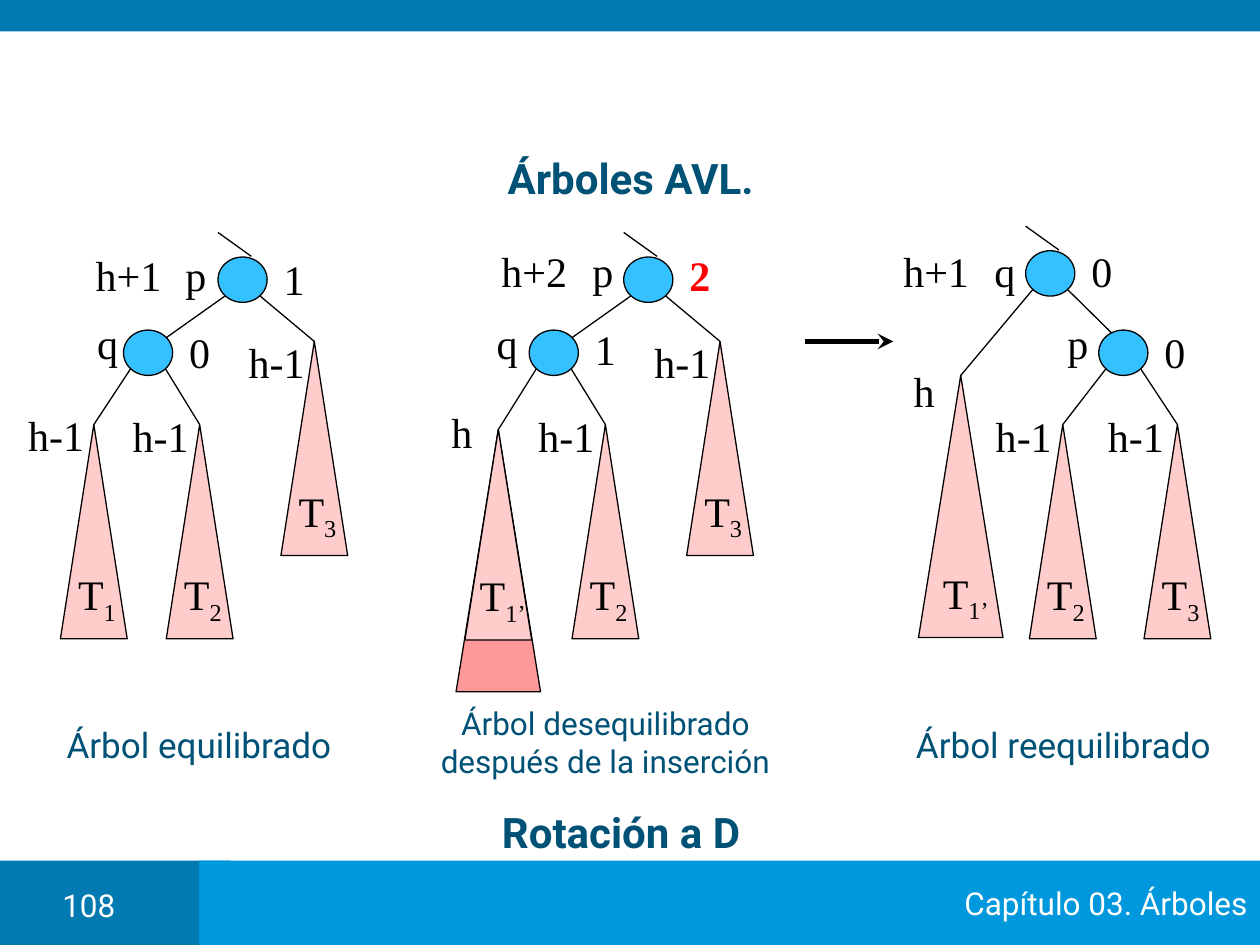
from dataclasses import dataclass
from typing import Optional, Union

from lxml import etree
from pptx import Presentation
from pptx.dml.color import RGBColor
from pptx.enum.shapes import MSO_CONNECTOR, MSO_SHAPE
from pptx.enum.text import MSO_ANCHOR, PP_ALIGN
from pptx.oxml.ns import qn
from pptx.util import Inches, Pt

RECT, OVAL, TRIANGLE = MSO_SHAPE.RECTANGLE, MSO_SHAPE.OVAL, MSO_SHAPE.ISOSCELES_TRIANGLE
STRAIGHT = MSO_CONNECTOR.STRAIGHT
LEFT, CENTER, RIGHT = PP_ALIGN.LEFT, PP_ALIGN.CENTER, PP_ALIGN.RIGHT
TOP, MIDDLE = MSO_ANCHOR.TOP, MSO_ANCHOR.MIDDLE

# Grid of 100 columns by 75 rows; every position below is in cells
COLS, ROWS = 100, 75
CELL = Inches(10) // COLS


@dataclass(frozen=True)
class Theme:
    dark: str = "007AB1"
    bright: str = "0098DC"
    heading: str = "005176"
    node: str = "35C0FF"
    subtree: str = "FFCCCC"
    growth: str = "FF9999"
    ink: str = "000000"
    alert: str = "FF0000"
    white: str = "FFFFFF"
    sans: str = "Roboto"
    serif: str = "Times New Roman"
    large: int = 24
    medium: int = 20
    small: int = 18
    thin: float = 0.75
    thick: float = 3


T = Theme()


@dataclass(frozen=True)
class Subtree:
    x: float  # apex
    y: float
    index: str
    height: str
    size: tuple[float, float] = (5.3, 17)
    height_at: tuple[float, float] = (-3.1, 0.9)  # from the apex
    name_dx: float = 0.25
    growth: Optional[tuple[float, float]] = None


@dataclass(frozen=True)
class Node:
    x: float  # centre
    y: float
    name: str
    balance: str
    children: tuple[Union["Node", Subtree], ...]
    name_at: tuple[float, float] = (-3.6, -0.8)  # from the centre
    balance_dy: float = -0.1
    height: str = ""
    arrive: tuple[float, float] = (1.45, -1.2)  # where the parent's edge ends
    alert: bool = False


@dataclass(frozen=True)
class Caption:
    text: str
    box: tuple[float, float, float, float]
    size: int
    color: str = T.heading
    bold: bool = False
    anchor: MSO_ANCHOR = TOP


def cells(*values: float) -> list[int]:
    return [round(v * CELL) for v in values]


def style(p, size: int, font: str, color: str, align=CENTER, bold: bool = False) -> None:
    p.alignment = align
    p.font.size, p.font.name, p.font.bold = Pt(size), font, bold
    p.font.color.rgb = RGBColor.from_string(color)


def add_shape(kind, box: tuple[float, ...], fill: str, outlined: bool = True):
    sp = slide.shapes.add_shape(kind, *cells(*box))
    sp.shadow.inherit = False
    sp.fill.solid()
    sp.fill.fore_color.rgb = RGBColor.from_string(fill)
    if outlined:
        sp.line.color.rgb = RGBColor.from_string(T.ink)
        sp.line.width = Pt(T.thin)
    else:
        sp.line.fill.background()
    return sp


def add_line(x1: float, y1: float, x2: float, y2: float, width: float = T.thin):
    line = slide.shapes.add_connector(STRAIGHT, *cells(x1, y1, x2, y2))
    line.line.color.rgb = RGBColor.from_string(T.ink)
    line.line.width = Pt(width)
    etree.SubElement(line._element.spPr, qn("a:effectLst"))
    return line


def add_label(x: float, y: float, text: str, sub: str = "", color: str = T.ink,
              bold: bool = False) -> None:
    """Serif label centred on a point, with an optional subscript."""
    w, h = 8, 5
    tf = slide.shapes.add_textbox(*cells(x - w / 2, y - h / 2, w, h)).text_frame
    tf.word_wrap, tf.vertical_anchor = False, MIDDLE
    p = tf.paragraphs[0]
    p.add_run().text = text
    if sub:
        r = p.add_run()
        r.text = sub
        r._r.get_or_add_rPr().set("baseline", "-25000")
    style(p, T.large, T.serif, color, bold=bold)


def add_caption(c: Caption) -> None:
    tf = slide.shapes.add_textbox(*cells(*c.box)).text_frame
    tf.word_wrap, tf.vertical_anchor = True, c.anchor
    p = tf.paragraphs[0]
    p.text = c.text
    style(p, c.size, T.sans, c.color, bold=c.bold)


def draw_subtree(s: Subtree) -> None:
    w, h = s.size
    if s.growth:
        gw, gh = s.growth
        add_shape(TRIANGLE, (s.x - gw / 2, s.y, gw, gh), T.growth)
    add_shape(TRIANGLE, (s.x - w / 2, s.y, w, h), T.subtree)
    add_label(s.x + s.name_dx, s.y + h - 3.3, "T", s.index)
    add_label(s.x + s.height_at[0], s.y + s.height_at[1], s.height)


def draw_node(n: Node) -> None:
    w, h = 3.9, 3.6
    add_shape(OVAL, (n.x - w / 2, n.y - h / 2, w, h), T.node)
    add_label(n.x + n.name_at[0], n.y + n.name_at[1], n.name)
    add_label(n.x + 4.1, n.y + n.balance_dy, n.balance,
              color=T.alert if n.alert else T.ink, bold=n.alert)
    if n.height:
        add_label(n.x - 9.05, n.y + n.name_at[1], n.height)
    for side, child in zip((-1, 1), n.children):
        is_node = isinstance(child, Node)
        dx, dy = child.arrive if is_node else (0, 0)
        add_line(n.x + side * 1.4, n.y + 1.3, child.x + dx, child.y + dy)
        if is_node:
            draw_node(child)
        else:
            draw_subtree(child)


def draw_tree(root: Node) -> None:
    add_line(root.x + 0.7, root.y - 1.85, root.x - 1.95, root.y - 3.75)
    draw_node(root)


TREES = (
    # Balanced
    Node(19.25, 22.2, "p", "1", height="h+1", name_at=(-3.7, -0.4), children=(
        Node(11.75, 28, "q", "0", name_at=(-3.2, -0.8), children=(
            Subtree(7.45, 33.7, "1", "h-1", height_at=(-3, 0.8)),
            Subtree(15.85, 33.7, "2", "h-1"))),
        Subtree(24.95, 27.1, "3", "h-1", height_at=(-3, 1.6)))),
    # Unbalanced after inserting
    Node(51.45, 22.2, "p", "2", height="h+2", name_at=(-3.6, -0.7), balance_dy=-0.4,
         alert=True, children=(
             Node(43.95, 28, "q", "1", name_at=(-3.7, -0.8), balance_dy=-0.3, children=(
                 Subtree(39.55, 34.1, "1’", "h", (5.3, 16.7), (-2.9, 0.2), 0.35, (6.7, 20.8)),
                 Subtree(48.05, 33.7, "2", "h-1"))),
             Subtree(57.15, 27.1, "3", "h-1", height_at=(-3, 1.6)))),
    # Rebalanced
    Node(83.35, 21.7, "q", "0", height="h+1", name_at=(-3.6, -0.2), balance_dy=-0.2, children=(
        Subtree(76.25, 29.8, "1’", "h", (6.7, 20.8), (-2.9, 1.2), 0.4),
        Node(89.15, 28, "p", "0", arrive=(-0.85, -1.5), children=(
            Subtree(84.35, 33.7, "2", "h-1"),
            Subtree(93.45, 33.7, "3", "h-1", height_at=(-3.3, 0.9)))))),
)

CAPTIONS = (
    Caption("108", (3.5, 69.8, 7.1, 3.2), T.small, T.white),
    Caption("Árboles AVL.", (8.3, 12, 83.5, 4.2), T.large, bold=True, anchor=MIDDLE),
    Caption("Árbol equilibrado", (3.3, 56.9, 25, 4.4), T.medium),
    Caption("Árbol desequilibrado después de la inserción", (33.6, 55.4, 28.9, 7.1), T.small),
    Caption("Árbol reequilibrado", (70.4, 56.9, 28, 4.4), T.medium),
    Caption("Rotación a D", (31.6, 63.5, 35.4, 5.1), T.large, bold=True),
)

prs = Presentation()
prs.slide_width, prs.slide_height = cells(COLS, ROWS)
slide = prs.slides.add_slide(prs.slide_layouts[6])

# Header and footer bands
add_shape(RECT, (0, 68.3, 18.3, 6.7), T.dark, outlined=False)
footer = add_shape(RECT, (15.8, 68.3, 84.2, 6.7), T.bright, outlined=False)
footer.text_frame.vertical_anchor = MIDDLE
footer.text_frame.text = "Capítulo 03. Árboles"
style(footer.text_frame.paragraphs[0], T.small, T.sans, T.white, RIGHT)
add_shape(RECT, (0, 0, COLS, 2.5), T.dark, outlined=False)

# Trees
for tree in TREES:
    draw_tree(tree)

# Rotation arrow
arrow = add_line(63.9, 27.1, 70.9, 27.1, T.thick)
etree.SubElement(arrow.line._get_or_add_ln(), qn("a:tailEnd"), type="stealth")

# Title, captions and page number
for caption in CAPTIONS:
    add_caption(caption)

prs.save("out.pptx")
